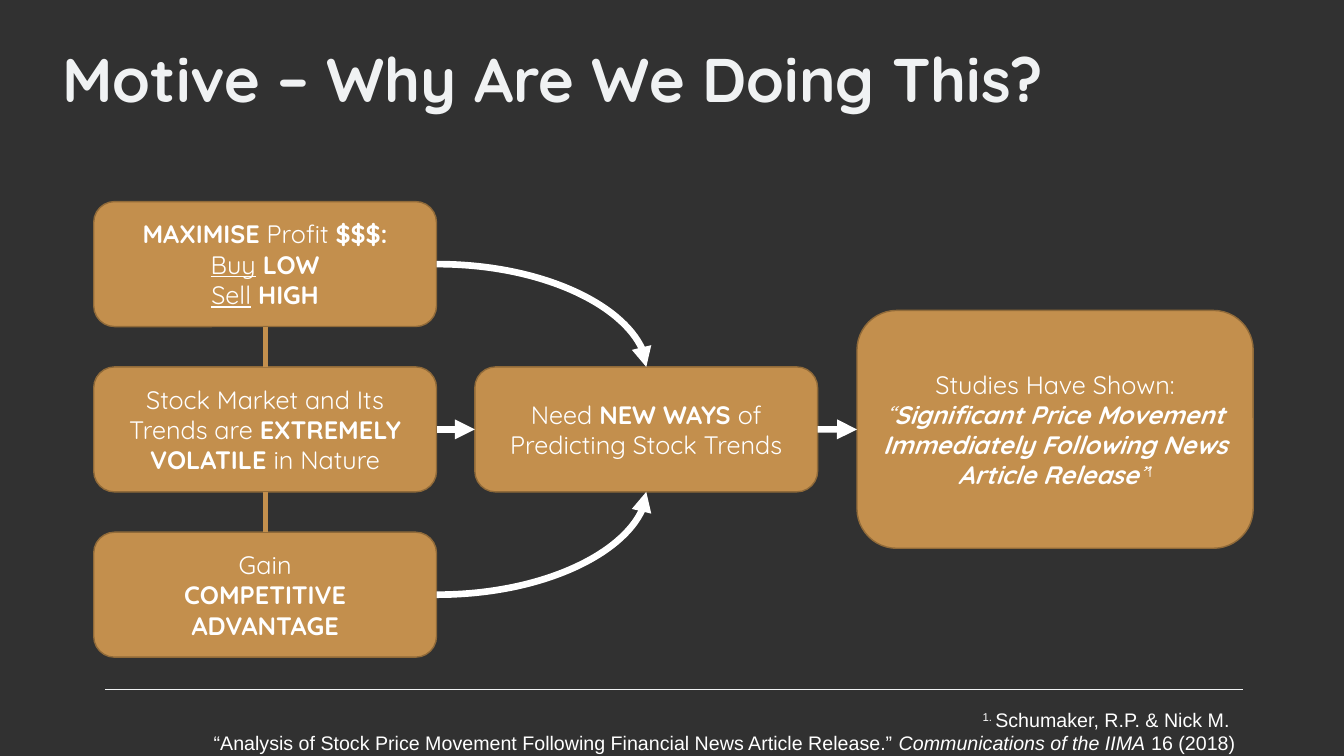
"""Build the slide on the motive for predicting stock trends."""
from dataclasses import dataclass

from lxml import etree
from pptx import Presentation
from pptx.dml.color import RGBColor
from pptx.enum.shapes import MSO_CONNECTOR, MSO_SHAPE
from pptx.enum.text import MSO_ANCHOR, MSO_AUTO_SIZE, PP_ALIGN
from pptx.oxml.ns import qn
from pptx.shapes.autoshape import Shape
from pptx.shapes.connector import Connector
from pptx.slide import Slide
from pptx.text.text import TextFrame
from pptx.util import Inches, Pt

STRAIGHT = MSO_CONNECTOR.STRAIGHT
CURVE = MSO_CONNECTOR.CURVE
ROUNDED = MSO_SHAPE.ROUNDED_RECTANGLE
MIDDLE = MSO_ANCHOR.MIDDLE
BOTTOM = MSO_ANCHOR.BOTTOM
GROW = MSO_AUTO_SIZE.SHAPE_TO_FIT_TEXT
LEFT = PP_ALIGN.LEFT
CENTER = PP_ALIGN.CENTER
RIGHT = PP_ALIGN.RIGHT

CHARCOAL = RGBColor(0x31, 0x31, 0x31)
GOLD = RGBColor(0xC3, 0x8F, 0x4D)
BRONZE = RGBColor(0x90, 0x6A, 0x39)
WHITE = RGBColor(0xFF, 0xFF, 0xFF)
PALE = RGBColor(0xF0, 0xF2, 0xF3)

TITLE_ONLY = 5
TOP_SITE, LEFT_SITE, BOTTOM_SITE, RIGHT_SITE = range(4)
REASON_LEFT, REASON_TOP, REASON_STEP = 0.93, 2.0, 1.64
BOX_WIDTH, BOX_HEIGHT = 3.4, 1.24


@dataclass(frozen=True)
class Span:
    text: str
    bold: bool = False
    italic: bool = False
    underline: bool = False
    raised: bool = False


@dataclass(frozen=True)
class Box:
    left: float
    top: float
    paragraphs: list[list[Span]]
    width: float = BOX_WIDTH
    height: float = BOX_HEIGHT


@dataclass(frozen=True)
class Link:
    start: Shape
    start_site: int
    end: Shape
    end_site: int
    kind: int = CURVE
    color: RGBColor = WHITE
    weight: float = 4.75
    arrow: bool = True
    quarter_turn: bool = False


REASONS = [
    [
        [Span("MAXIMISE", bold=True), Span(" Profit "), Span("$$$:", bold=True)],
        [Span("Buy", underline=True), Span(" LOW", bold=True)],
        [Span("Sell", underline=True), Span(" HIGH", bold=True)],
    ],
    [[
        Span("Stock Market and Its Trends are "),
        Span("EXTREMELY VOLATILE ", bold=True),
        Span("in Nature"),
    ]],
    [[Span("Gain")], [Span("COMPETITIVE ADVANTAGE", bold=True)]],
]
NEED = [[
    Span("Need "),
    Span("NEW WAYS ", bold=True),
    Span("of Predicting Stock Trends"),
]]
STUDIES = [
    [Span("Studies Have Shown:")],
    [
        Span("“", italic=True),
        Span(
            "Significant Price Movement Immediately Following News Article Release",
            bold=True,
            italic=True,
        ),
        Span("”", italic=True),
        Span("1", raised=True),
    ],
]
CITATION = [
    [Span("1. ", raised=True), Span("Schumaker, R.P. & Nick M. ")],
    [
        Span("“Analysis of Stock Price Movement Following Financial News Article Release.” "),
        Span("Communications of the IIMA", italic=True),
        Span(" 16 (2018)"),
    ],
]


def write(
    frame: TextFrame,
    paragraphs: list[list[Span]],
    font_name: str,
    size: int,
    color: RGBColor,
    alignment: int,
) -> None:
    """Fill a text frame with formatted paragraphs."""
    frame.word_wrap = True
    for index, spans in enumerate(paragraphs):
        paragraph = frame.add_paragraph() if index else frame.paragraphs[0]
        paragraph.alignment = alignment
        for span in spans:
            run = paragraph.add_run()
            run.text = span.text
            font = run.font
            font.name, font.size = font_name, Pt(size)
            font.bold, font.italic = span.bold, span.italic
            font.underline = span.underline
            font.color.rgb = color
            if span.raised:
                run._r.get_or_add_rPr().set("baseline", "30000")


def draw_box(slide: Slide, box: Box) -> Shape:
    """Draw a gold rounded box with centred text."""
    shape = slide.shapes.add_shape(
        ROUNDED, Inches(box.left), Inches(box.top), Inches(box.width), Inches(box.height)
    )
    shape.shadow.inherit = False
    shape.fill.solid()
    shape.fill.fore_color.rgb = GOLD
    shape.line.color.rgb = BRONZE
    shape.line.width = Pt(1)
    shape.text_frame.vertical_anchor = MIDDLE
    write(shape.text_frame, box.paragraphs, "Quicksand", 18, WHITE, CENTER)
    return shape


def style_line(connector: Connector, color: RGBColor, weight: float) -> None:
    """Colour a connector and remove its shadow."""
    connector.line.color.rgb = color
    connector.line.width = Pt(weight)
    etree.SubElement(connector._element.spPr, qn("a:effectLst"))


def draw_link(slide: Slide, link: Link) -> None:
    """Join two boxes at their connection sites."""
    connector = slide.shapes.add_connector(link.kind, 0, 0, 0, 0)
    connector.begin_connect(link.start, link.start_site)
    connector.end_connect(link.end, link.end_site)
    style_line(connector, link.color, link.weight)
    properties = connector._element.spPr
    if link.quarter_turn:
        properties.find(qn("a:prstGeom")).set("prst", "curvedConnector2")
    if link.arrow:
        etree.SubElement(properties.find(qn("a:ln")), qn("a:tailEnd"), type="triangle")


def main() -> None:
    """Build and save the slide."""
    deck = Presentation()
    deck.slide_width, deck.slide_height = Inches(13.33), Inches(7.5)
    slide = deck.slides.add_slide(deck.slide_layouts[TITLE_ONLY])
    slide.background.fill.solid()
    slide.background.fill.fore_color.rgb = CHARCOAL

    title = slide.shapes.title
    title.left, title.top = Inches(0.52), Inches(0)
    title.width, title.height = Inches(12.3), Inches(1.19)
    title.text_frame.vertical_anchor = BOTTOM
    heading = [[Span("Motive – Why Are We Doing This?", bold=True)]]
    write(title.text_frame, heading, "Quicksand", 44, PALE, LEFT)

    footer_rule = slide.shapes.add_connector(
        STRAIGHT, Inches(1.04), Inches(6.84), Inches(12.33), Inches(6.84)
    )
    style_line(footer_rule, PALE, 0.85)

    profit, volatility, advantage = [
        draw_box(slide, Box(REASON_LEFT, REASON_TOP + row * REASON_STEP, reason))
        for row, reason in enumerate(REASONS)
    ]
    need = draw_box(slide, Box(4.71, REASON_TOP + REASON_STEP, NEED))
    studies = draw_box(slide, Box(8.5, 3.08, STUDIES, 3.93, 2.36))

    citation = slide.shapes.add_textbox(
        Inches(0.93), Inches(6.97), Inches(11.42), Inches(0.57)
    )
    write(citation.text_frame, CITATION, "Arial", 14, WHITE, RIGHT)
    citation.text_frame.auto_size = GROW

    links = [
        Link(profit, RIGHT_SITE, need, TOP_SITE, quarter_turn=True),
        Link(advantage, RIGHT_SITE, need, BOTTOM_SITE, quarter_turn=True),
        Link(volatility, RIGHT_SITE, need, LEFT_SITE),
        Link(need, RIGHT_SITE, studies, LEFT_SITE),
    ]
    links += [
        Link(upper, BOTTOM_SITE, lower, TOP_SITE, STRAIGHT, GOLD, 3.75, arrow=False)
        for upper, lower in ((profit, volatility), (volatility, advantage))
    ]
    for link in links:
        draw_link(slide, link)

    deck.save("out.pptx")


if __name__ == "__main__":
    main()
